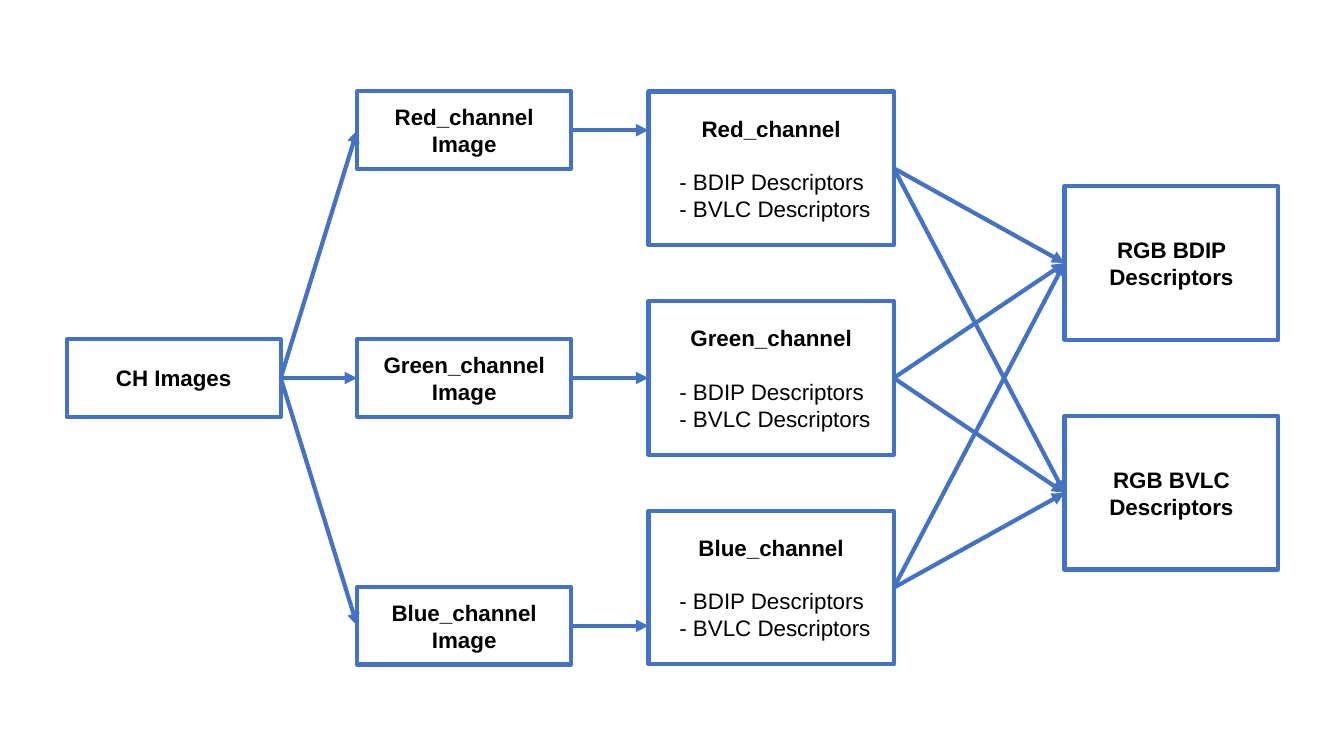
from dataclasses import dataclass

from pptx import Presentation
from pptx import util as u
from pptx.dml.color import RGBColor
from pptx.enum import shapes, text
from pptx.oxml import parse_xml
from pptx.oxml.ns import nsdecls, qn
from pptx.shapes.autoshape import Shape
from pptx.slide import Slide


@dataclass(frozen=True)
class Theme:
    font: str = "Arial"
    size: float = 16
    line_width: float = 3
    ink: RGBColor = RGBColor(0x00, 0x00, 0x00)
    fill: RGBColor = RGBColor(0xFF, 0xFF, 0xFF)
    line: RGBColor = RGBColor(0x44, 0x72, 0xC4)


@dataclass(frozen=True)
class Column:
    left: float
    width: float
    height: float


@dataclass(frozen=True)
class Box:
    column: Column
    mid_y: float
    title: str
    items: tuple[str, ...] = ()


THEME = Theme()
MID_Y = 270
ITEM_GAP = 19
ITEM_INDENT = 15
LEFT_SITE, RIGHT_SITE = 1, 3

# Columns of the flow, from left to right
SOURCE = Column(47.7, 152.8, 55.4)
CHANNELS = Column(255.2, 152.8, 55.4)
DESCRIPTORS = Column(463.2, 175.2, 109.6)
RESULTS = Column(760.4, 152.8, 109.6)

# Distance between box centres down each column
CHANNEL_STEP = 177
DESCRIPTOR_STEP = 149.8
RESULT_STEP = 164.2


def add_box(s: Slide, box: Box) -> Shape:
    col = box.column
    sp = s.shapes.add_shape(
        shapes.MSO_SHAPE.RECTANGLE,
        u.Pt(col.left), u.Pt(box.mid_y - col.height / 2),
        u.Pt(col.width), u.Pt(col.height),
    )
    sp.shadow.inherit = False
    sp.fill.solid()
    sp.fill.fore_color.rgb = THEME.fill
    sp.line.color.rgb = THEME.line
    sp.line.width = u.Pt(THEME.line_width)

    tf = sp.text_frame
    tf.word_wrap = True
    tf.vertical_anchor = text.MSO_ANCHOR.MIDDLE
    tf.text = "\n".join((box.title, *box.items))
    for i, p in enumerate(tf.paragraphs):
        p.alignment = text.PP_ALIGN.LEFT if i else text.PP_ALIGN.CENTER
        if i:
            p._p.get_or_add_pPr().set("marL", str(u.Pt(ITEM_INDENT)))
        if i == 1:
            p.space_before = u.Pt(ITEM_GAP)
        for r in p.runs:
            r.font.name = THEME.font
            r.font.size = u.Pt(THEME.size)
            r.font.bold = i == 0
            r.font.color.rgb = THEME.ink
    return sp


def add_arrow(s: Slide, start: Shape, end: Shape, level: bool = False) -> None:
    """Join right side to left side; a level arrow keeps the start height."""
    y = start.top + start.height // 2
    cx = s.shapes.add_connector(
        shapes.MSO_CONNECTOR.STRAIGHT, start.left + start.width, y, end.left, y
    )
    cx.begin_connect(start, RIGHT_SITE)
    if not level:
        cx.end_connect(end, LEFT_SITE)
    cx.line.color.rgb = THEME.line
    cx.line.width = u.Pt(THEME.line_width)
    ln = cx._element.spPr.find(qn("a:ln"))
    ln.append(parse_xml(f'<a:tailEnd {nsdecls("a")} type="triangle"/>'))
    cx._element.spPr.append(parse_xml(f'<a:effectLst {nsdecls("a")}/>'))


def main() -> None:
    prs = Presentation()
    prs.slide_width, prs.slide_height = u.Pt(960), u.Pt(540)
    s = prs.slides.add_slide(prs.slide_layouts[6])

    # Boxes
    colours = ("Red", "Green", "Blue")
    kinds = ("BDIP", "BVLC")
    items = tuple(f"- {kind} Descriptors" for kind in kinds)
    source = add_box(s, Box(SOURCE, MID_Y, "CH Images"))
    channels = [
        add_box(s, Box(CHANNELS, MID_Y + (i - 1) * CHANNEL_STEP, f"{c}_channel Image"))
        for i, c in enumerate(colours)
    ]
    descriptors = [
        add_box(s, Box(DESCRIPTORS, MID_Y + (i - 1) * DESCRIPTOR_STEP, f"{c}_channel", items))
        for i, c in enumerate(colours)
    ]
    results = [
        add_box(s, Box(RESULTS, MID_Y + (i - 0.5) * RESULT_STEP, f"RGB {kind} Descriptors"))
        for i, kind in enumerate(kinds)
    ]

    # Arrows
    for channel in channels:
        add_arrow(s, source, channel)
    for channel, descriptor in zip(channels, descriptors):
        add_arrow(s, channel, descriptor, level=True)
    for result in results:
        for descriptor in descriptors:
            add_arrow(s, descriptor, result)

    prs.save("out.pptx")


if __name__ == "__main__":
    main()
